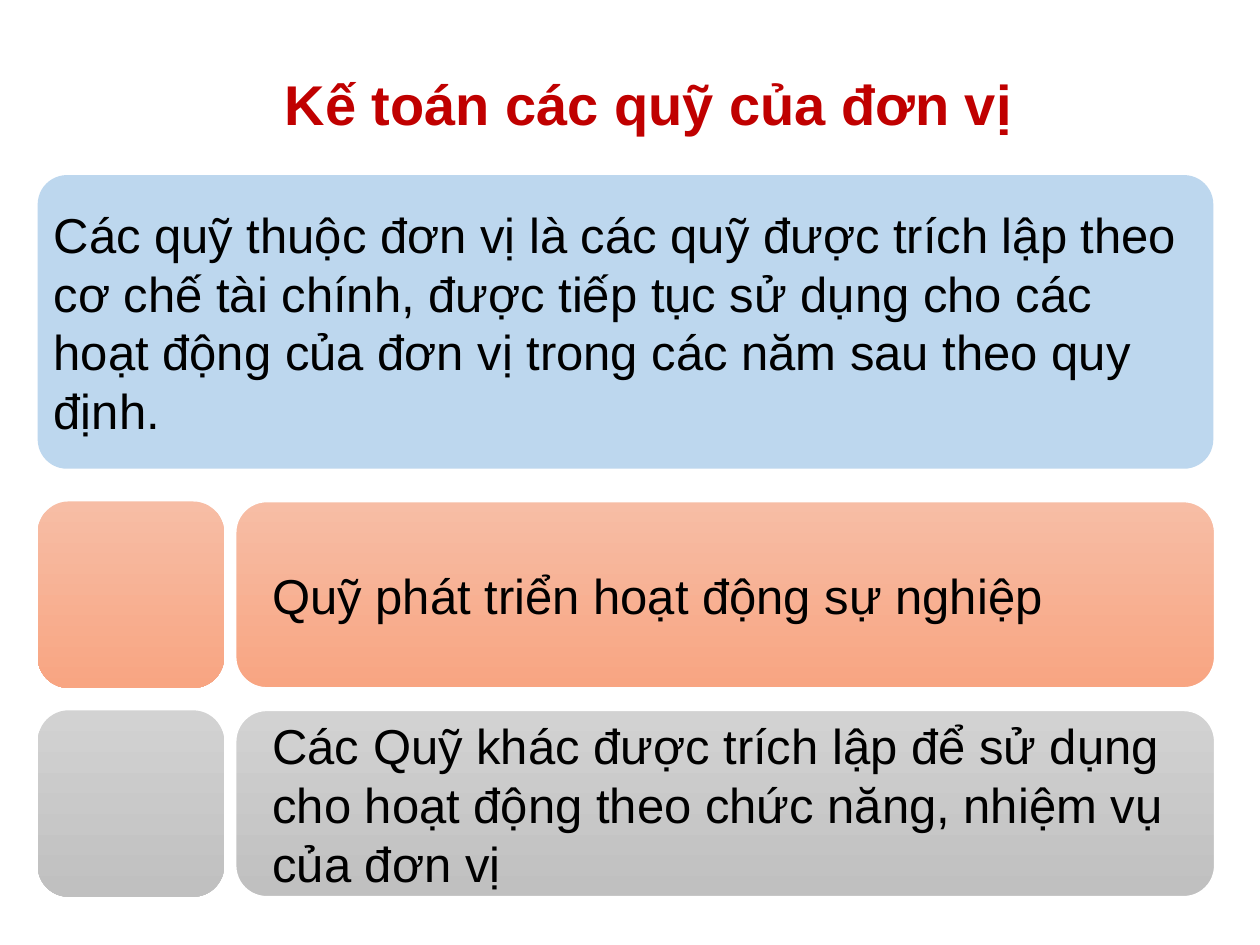
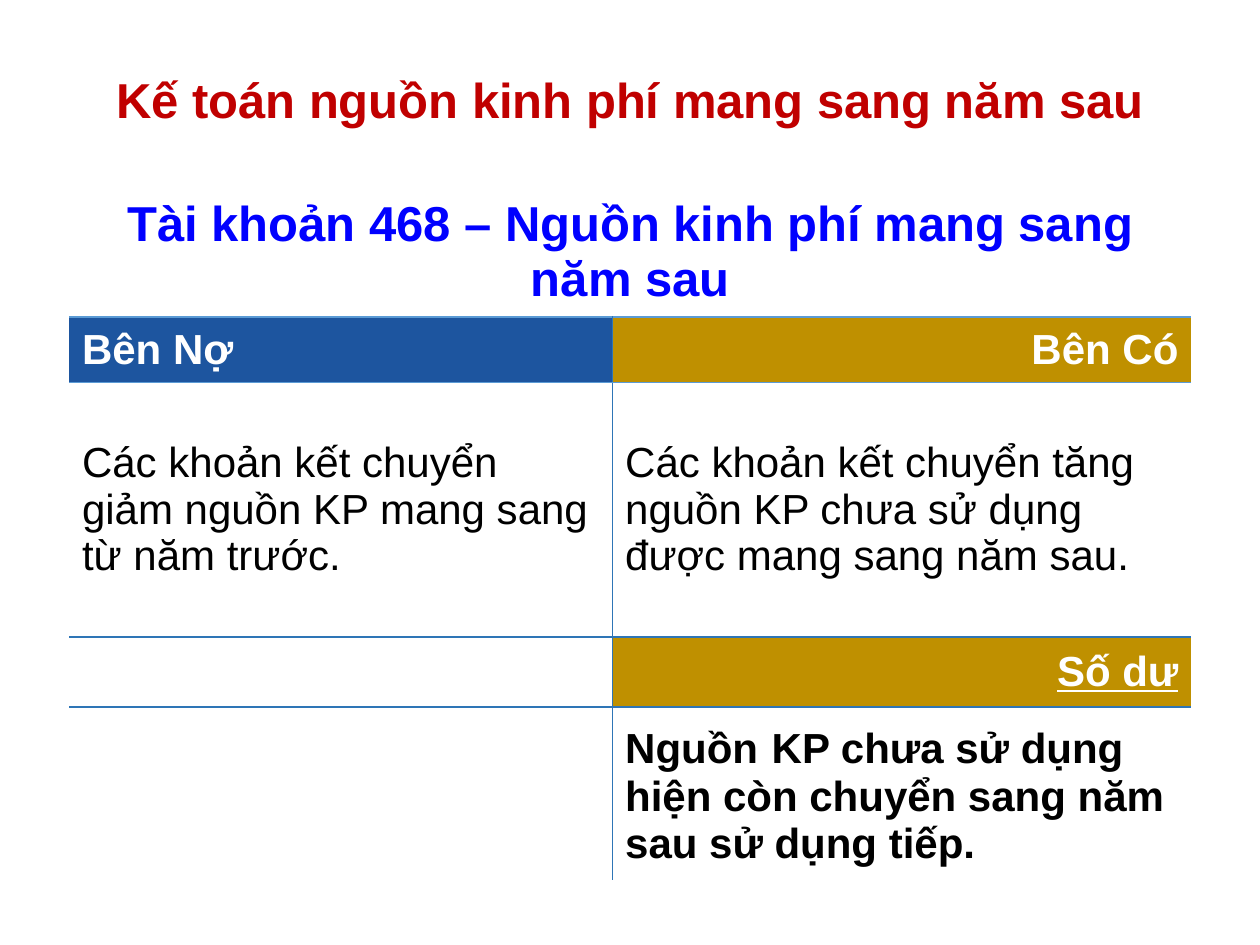
from lxml import etree
from pptx import Presentation
from pptx.dml.color import RGBColor
from pptx.enum.shapes import MSO_SHAPE
from pptx.enum.text import MSO_ANCHOR, PP_ALIGN
from pptx.oxml.ns import qn
from pptx.util import Cm, Pt

ROUNDED = MSO_SHAPE.ROUNDED_RECTANGLE
MIDDLE = MSO_ANCHOR.MIDDLE
LEFT, CENTER, RIGHT = PP_ALIGN.LEFT, PP_ALIGN.CENTER, PP_ALIGN.RIGHT
FONT = "Arial"
NO_STYLE = "{2D5ABB26-0587-4C30-8999-92F81FD0307C}"
COLORS = {
    "title": "C00000", "text": "000000", "white": "FFFFFF",
    "definition": "BDD7EE", "account": "0000FF",
    "debit": "1D559F", "credit": "BF9000",
    "rule": "2E75B6", "top_rule": "5B9BD5",
    "orange_top": "F7BDA5", "orange_bottom": "F8A582",
    "grey_top": "D2D2D2", "grey_bottom": "C0C0C0",
}
RGB = {name: RGBColor.from_string(value) for name, value in COLORS.items()}


def write(tf, text, size, color, align=LEFT, bold=False):
    """Fill a text frame with one styled paragraph and return it."""
    tf.word_wrap = True
    p = tf.paragraphs[0]
    p.text = text
    p.alignment = align
    for r in p.runs:
        r.font.name = FONT
        r.font.size = Pt(size)
        r.font.bold = bold
        r.font.color.rgb = RGB[color]
    return p


def add_border(cell, side, color):
    """Draw one cell edge; call in the order L, R, T, B and before the fill."""
    ln = etree.SubElement(cell._tc.get_or_add_tcPr(), qn("a:ln" + side), w=str(Pt(1)))
    fill = etree.SubElement(ln, qn("a:solidFill"))
    etree.SubElement(fill, qn("a:srgbClr"), val=COLORS[color])


prs = Presentation()
prs.slide_width, prs.slide_height = Cm(25.4), Cm(19.05)
blank = prs.slide_layouts[6]

# Titles
titles = [
    ("Kế toán các quỹ của đơn vị", 32, (0.76, 1.27, 24.64, 1.63)),
    ("Kế toán nguồn kinh phí mang sang năm sau", 28, (1.75, 1.02, 21.9, 2.08)),
]
slides = []
for text, size, box in titles:
    s = prs.slides.add_slide(blank)
    tf = s.shapes.add_textbox(*map(Cm, box)).text_frame
    write(tf, text, size, "title", CENTER, True)
    slides.append(s)
funds, account = slides
tf.vertical_anchor = MIDDLE
tf.paragraphs[0].line_spacing = 0.9

# Slide 1: definition above two fund rows, each a square and a wide box
left, square, wide_left, wide = 0.76, 3.76, 4.75, 19.74
first_top, row_step = 10.11, 4.21
panels = [(
    (left, 3.53, 23.7, 5.92), 0.1, ("definition",), (0.15, 0.1),
    "Các quỹ thuộc đơn vị là các quỹ được trích lập theo cơ chế tài chính, "
    "được tiếp tục sử dụng cho các hoạt động của đơn vị trong các năm sau theo quy định.",
)]
fund_rows = [
    ("orange", "Quỹ phát triển hoạt động sự nghiệp"),
    ("grey", "Các Quỹ khác được trích lập để sử dụng cho hoạt động "
             "theo chức năng, nhiệm vụ của đơn vị"),
]
for i, (tone, text) in enumerate(fund_rows):
    top = first_top + i * row_step
    shades = (tone + "_top", tone + "_bottom")
    panels.append(((left, top, square, square), 0.167, shades, None, ""))
    panels.append(((wide_left, top, wide, square), 0.167, shades, (0.56, 0.56), text))

for box, radius, shades, margins, text in panels:
    sp = funds.shapes.add_shape(ROUNDED, *map(Cm, box))
    sp.shadow.inherit = False
    sp.adjustments[0] = radius
    sp.line.fill.background()
    if len(shades) == 2:
        sp.fill.gradient()
        sp.fill.gradient_angle = 270
        for stop, shade in zip(sp.fill.gradient_stops, shades):
            stop.color.rgb = RGB[shade]
        if text:
            sp.line.color.rgb = RGB["white"]
            sp.line.width = Pt(1)
    else:
        sp.fill.solid()
        sp.fill.fore_color.rgb = RGB[shades[0]]
    if text:
        tf = sp.text_frame
        tf.vertical_anchor = MIDDLE
        tf.margin_left = tf.margin_right = Cm(margins[0])
        tf.margin_top = tf.margin_bottom = Cm(margins[1])
        write(tf, text, 28, "text")

# Slide 2: T-account table
col_widths = [10.95, 11.66]
row_heights = [2.62, 1.32, 5.13, 1.42, 3.15]
frame = account.shapes.add_table(
    len(row_heights), len(col_widths), Cm(1.4), Cm(3.76),
    Cm(sum(col_widths)), Cm(sum(row_heights)))
tbl = frame.table
tbl.first_row = tbl.horz_banding = False
tbl._tbl.tblPr.find(qn("a:tableStyleId")).text = NO_STYLE
for col, width in zip(tbl.columns, col_widths):
    col.width = Cm(width)
for row, height in zip(tbl.rows, row_heights):
    row.height = Cm(height)
tbl.cell(0, 0).merge(tbl.cell(0, 1))

# (row, column): text, size, colour, alignment, bold, fill
entries = {
    (0, 0): ("Tài khoản 468 – Nguồn kinh phí mang sang năm sau",
             28, "account", CENTER, True, None),
    (1, 0): ("Bên Nợ", 24, "white", LEFT, True, "debit"),
    (1, 1): ("Bên Có", 24, "white", RIGHT, True, "credit"),
    (2, 0): ("Các khoản kết chuyển giảm nguồn KP mang sang từ năm trước.",
             24, "text", LEFT, False, None),
    (2, 1): ("Các khoản kết chuyển tăng nguồn KP chưa sử dụng được mang sang năm sau.",
             24, "text", LEFT, False, None),
    (3, 1): ("Số dư", 24, "white", RIGHT, True, "credit"),
    (4, 1): ("Nguồn", 24, "text", LEFT, True, None),
}
rules_below = {0: "top_rule", 2: "rule"}
for i in range(len(row_heights)):
    for j in range(len(col_widths)):
        cell = tbl.cell(i, j)
        cell.vertical_anchor = MIDDLE
        if i > 0:
            add_border(cell, "L" if j else "R", "rule")
        if i - 1 in rules_below:
            add_border(cell, "T", rules_below[i - 1])
        if i in rules_below:
            add_border(cell, "B", rules_below[i])
        cell.fill.background()
        if (i, j) in entries:
            *style, fill = entries[i, j]
            write(cell.text_frame, *style)
            if fill:
                cell.fill.solid()
                cell.fill.fore_color.rgb = RGB[fill]

tbl.cell(3, 1).text_frame.paragraphs[0].runs[0].font.underline = True
p = tbl.cell(4, 1).text_frame.paragraphs[0]
balance = [(" ", 28), ("KP chưa sử dụng hiện còn chuyển sang năm sau sử dụng tiếp.", 24)]
for text, size in balance:
    r = p.add_run()
    r.text = text
    r.font.name = FONT
    r.font.size = Pt(size)
    r.font.bold = True
    r.font.color.rgb = RGB["text"]

prs.save("out.pptx")
